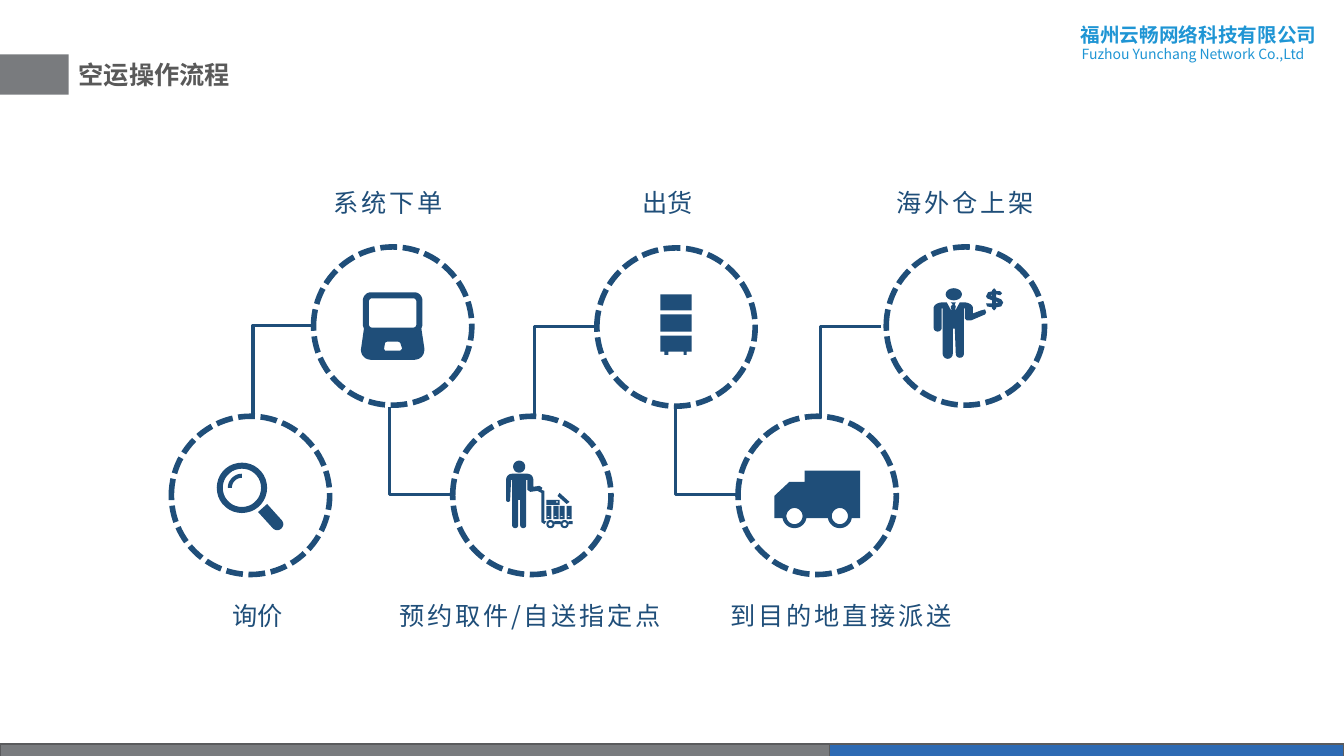
import math
from dataclasses import dataclass

import pptx
import pptx.dml.color
import pptx.enum.dml
import pptx.enum.shapes
import pptx.enum.text
import pptx.oxml.ns
import pptx.util
from pptx.util import Inches

ALIGN = pptx.enum.text.PP_ALIGN
PRESET = pptx.enum.shapes.MSO_SHAPE
Point = tuple[float, float]
Contour = list[Point]


@dataclass(frozen=True)
class Theme:
    navy: str = "1F4E79"
    gray: str = "797B7E"
    gray_line: str = "5A5B5D"
    blue: str = "2D6AB3"
    sky: str = "1F95D4"
    title: str = "595959"
    cjk: str = "Noto Sans CJK SC"
    latin: str = "Arial"
    size: int = 18
    name_size: int = 14
    small: int = 10
    ring_line: float = 4
    link_line: float = 2.25


@dataclass(frozen=True)
class Step:
    label: str
    ring: Point
    label_box: tuple[float, float, float, float]
    spacing: int
    align: ALIGN
    icon: list[Contour]
    line_spacing: float | None = None


THEME = Theme()
RING = 1.57


# Outline helpers, in inches
def arc(x: float, y: float, rx: float, start: float = 0, end: float = 360,
        ry: float | None = None) -> Contour:
    count = max(6, round(abs(end - start) / 10))
    angles = [math.radians(start + (end - start) * i / count) for i in range(count + 1)]
    return [(x + rx * math.cos(a), y + (ry or rx) * math.sin(a)) for a in angles]


def block(x: float, y: float, width: float, height: float, radius: float = 0) -> Contour:
    right, bottom = x + width, y + height
    if not radius:
        return [(x, y), (right, y), (right, bottom), (x, bottom)]
    corners = [(x + radius, y + radius, 180), (right - radius, y + radius, 270),
               (right - radius, bottom - radius, 0), (x + radius, bottom - radius, 90)]
    return [point for cx, cy, a in corners for point in arc(cx, cy, radius, a, a + 90)]


# Icons
MAGNIFIER = [
    arc(2.4, 4.84, 0.25), arc(2.4, 4.84, 0.19),
    arc(2.4, 4.84, 0.14, 180, 270) + arc(2.4, 4.84, 0.1, 270, 180),
    arc(2.75, 5.2, 0.06, -45, 135) + [(2.56, 5.08), (2.65, 5)],
]
LAPTOP = [
    arc(3.68, 2.98, 0.08, 180, 270) + arc(4.11, 2.98, 0.08, 270, 360)
    + [(4.19, 3.23), (4.18, 3.26), (4.21, 3.46)] + arc(4.11, 3.47, 0.1, 0, 90)
    + arc(3.68, 3.47, 0.1, 90, 180) + [(3.61, 3.26), (3.6, 3.23)],
    block(3.66, 2.96, 0.47, 0.29, 0.03),
    [(3.84, 3.39), (3.95, 3.39), (3.97, 3.4), (3.99, 3.46), (3.97, 3.48),
     (3.82, 3.48), (3.81, 3.46), (3.82, 3.4)],
]
CART_WORKER = [
    arc(5.15, 4.63, 0.06),
    # Worker, pushing arm and cart handle
    arc(5.08, 4.76, 0.06, 180, 270) + arc(5.23, 4.76, 0.06, 270, 360)
    + [(5.29, 4.83), (5.35, 4.82), (5.38, 4.84), (5.37, 4.86), (5.4, 4.87), (5.4, 5.17),
       (5.42, 5.17), (5.4, 5.2), (5.37, 5.18), (5.37, 4.89), (5.33, 4.87), (5.26, 4.88),
       (5.23, 4.86), (5.23, 4.76), (5.22, 4.76)]
    + arc(5.19, 5.21, 0.03, 0, 180) + [(5.16, 4.96), (5.14, 4.96)]
    + arc(5.11, 5.21, 0.03, 0, 180) + [(5.08, 4.76), (5.07, 4.76)]
    + arc(5.04, 4.96, 0.02, 0, 180),
    # Cargo
    block(5.42, 4.96, 0.13, 0.05), block(5.52, 4.97, 0.01, 0.02),
    [(5.55, 4.89), (5.65, 4.98), (5.62, 5), (5.53, 4.92)],
    *[shape for x in (5.42, 5.49, 5.55, 5.62) for shape in (
        block(x, 5.02, 0.05, 0.13), block(x + 0.01, 5.12, 0.02, 0.01))],
    # Wheels and axle
    *[arc(x, 5.2, r) for x in (5.46, 5.6) for r in (0.04, 0.02)],
    block(5.5, 5.17, 0.06, 0.03), block(5.64, 5.17, 0.04, 0.03),
]
CABINET = [
    block(6.55, 2.92, 0.31, 0.16), block(6.55, 3.12, 0.31, 0.17),
    [(6.55, 3.33), (6.86, 3.33), (6.86, 3.49), (6.81, 3.49), (6.81, 3.52), (6.78, 3.52),
     (6.78, 3.49), (6.63, 3.49), (6.63, 3.52), (6.59, 3.52), (6.59, 3.49), (6.55, 3.49)],
]
TRUCK = [
    [(8.53, 4.67), (7.98, 4.67), (7.98, 4.78), (7.83, 4.78), (7.68, 4.92), (7.68, 5.14)]
    + arc(7.88, 5.12, 0.12, 170, 10) + arc(8.33, 5.12, 0.12, 170, 10) + [(8.53, 5.14)],
    arc(7.88, 5.12, 0.08), arc(8.33, 5.12, 0.08),
]
SELLER = [
    arc(9.46, 2.92, 0.08, ry=0.06),
    # Suit with tie and open hand
    arc(9.35, 3.06, 0.09, 180, 270, 0.06)
    + [(9.39, 3), (9.44, 3.09), (9.43, 3.04), (9.45, 3.02), (9.43, 3), (9.48, 3),
       (9.47, 3.02), (9.48, 3.04), (9.47, 3.09), (9.52, 3)]
    + arc(9.56, 3.06, 0.09, 270, 360, 0.06)
    + [(9.65, 3.11), (9.73, 3.08), (9.77, 3.07), (9.78, 3.1), (9.77, 3.12), (9.63, 3.18),
       (9.59, 3.18), (9.57, 3.16), (9.57, 3.06), (9.56, 3.06)]
    + arc(9.52, 3.51, 0.04, 0, 180) + [(9.47, 3.26), (9.45, 3.26)]
    + arc(9.4, 3.51, 0.05, 0, 180) + [(9.35, 3.06), (9.34, 3.06)]
    + arc(9.3, 3.25, 0.04, 0, 180),
    # Dollar sign
    [(9.84, 2.88), (9.86, 2.86), (9.88, 2.88), (9.88, 2.89), (9.92, 2.89), (9.94, 2.91),
     (9.92, 2.93), (9.88, 2.92), (9.88, 2.95), (9.93, 2.97), (9.95, 3), (9.93, 3.04),
     (9.88, 3.05), (9.88, 3.06), (9.86, 3.08), (9.84, 3.06), (9.84, 3.05), (9.79, 3.04),
     (9.78, 3.01), (9.84, 3.01), (9.84, 2.98), (9.79, 2.96), (9.78, 2.94), (9.8, 2.9),
     (9.84, 2.89)],
    [(9.88, 2.99), (9.9, 3), (9.88, 3.01)], [(9.84, 2.92), (9.83, 2.93), (9.84, 2.94)],
]

STEPS = [
    Step("询价", (1.7, 4.13), (2.21, 5.91, 0.85, 0.4), 0, ALIGN.LEFT, MAGNIFIER),
    Step("系统下单", (3.11, 2.45), (2.82, 1.81, 2.06, 0.4), 2, ALIGN.CENTER, LAPTOP),
    Step("预约取件/自送指定点", (4.49, 4.13), (3.86, 5.91, 2.97, 0.4), 2, ALIGN.LEFT,
         CART_WORKER),
    Step("出货", (5.92, 2.46), (6.27, 1.81, 1.22, 0.4), 0, ALIGN.LEFT, CABINET),
    Step("到目的地直接派送", (7.32, 4.13), (7.06, 5.91, 2.57, 0.4), 2, ALIGN.CENTER, TRUCK),
    Step("海外仓上架", (8.79, 2.45), (8.79, 1.78, 1.84, 0.43), 2, ALIGN.LEFT, SELLER, 1.1),
]
LINKS = [((3.11, 3.23), (2.51, 4.13)), ((4.46, 4.91), (3.86, 4.04)),
         ((5.89, 3.24), (5.3, 4.15)), ((7.3, 4.91), (6.7, 4.04)),
         ((8.74, 3.24), (8.14, 4.15))]


# Drawing functions
def rgb(code: str) -> pptx.dml.color.RGBColor:
    return pptx.dml.color.RGBColor.from_string(code)


def paint(shape, fill: str | None, line: str | None = None, width: float = 1) -> None:
    shape.shadow.inherit = False
    if fill:
        shape.fill.solid()
        shape.fill.fore_color.rgb = rgb(fill)
    else:
        shape.fill.background()
    if line:
        shape.line.color.rgb = rgb(line)
        shape.line.width = pptx.util.Pt(width)
    else:
        shape.line.fill.background()


def write(box, text: str, size: int, color: str, align: ALIGN, font: str = THEME.cjk,
          bold: bool = False, spacing: int = 0) -> None:
    frame = box.text_frame
    frame.text = text
    frame.word_wrap = True
    frame.vertical_anchor = pptx.enum.text.MSO_ANCHOR.TOP
    para = frame.paragraphs[0]
    para.alignment = align
    span = para.runs[0]
    span.font.name, span.font.size, span.font.bold = font, pptx.util.Pt(size), bold
    span.font.color.rgb = rgb(color)
    properties = span.font._element
    if spacing:
        properties.set("spc", str(spacing * 100))
    east_asian = pptx.oxml.ns.qn("a:ea")
    properties.find(pptx.oxml.ns.qn("a:latin")).addnext(
        properties.makeelement(east_asian, {"typeface": THEME.cjk}))


def add_bar(page, at: tuple, fill: str, line: str | None = None) -> None:
    paint(page.shapes.add_shape(PRESET.RECTANGLE, *map(Inches, at)), fill, line)


def add_icon(page, contours: list[Contour]) -> None:
    scaled = [[(x * 1000, y * 1000) for x, y in contour] for contour in contours]
    builder = page.shapes.build_freeform(*scaled[0][0], scale=Inches(1) / 1000)
    for contour in scaled:
        if contour is not scaled[0]:
            builder.move_to(*contour[0])
        builder.add_line_segments(contour[1:], close=True)
    paint(builder.convert_to_shape(), THEME.navy)


def add_link(page, begin: Point, end: Point) -> None:
    link = page.shapes.add_connector(pptx.enum.shapes.MSO_CONNECTOR.ELBOW,
                                     *map(Inches, begin + end))
    link.line.color.rgb = rgb(THEME.navy)
    link.line.width = pptx.util.Pt(THEME.link_line)
    properties = link._element.spPr
    properties.find(pptx.oxml.ns.qn("a:prstGeom")).set("prst", "bentConnector2")
    properties.append(properties.makeelement(pptx.oxml.ns.qn("a:effectLst"), {}))


def add_step(page, step: Step) -> None:
    ring = page.shapes.add_shape(PRESET.OVAL, *map(Inches, step.ring + (RING, RING)))
    paint(ring, None, THEME.navy, THEME.ring_line)
    ring.line.dash_style = pptx.enum.dml.MSO_LINE.SQUARE_DOT
    box = page.shapes.add_textbox(*map(Inches, step.label_box))
    write(box, step.label, THEME.size, THEME.navy, step.align, spacing=step.spacing)
    box.text_frame.paragraphs[0].line_spacing = step.line_spacing
    add_icon(page, step.icon)


def main() -> None:
    deck = pptx.Presentation()
    deck.slide_width, deck.slide_height = Inches(13.33), Inches(7.5)
    page = deck.slides.add_slide(deck.slide_layouts[5])
    # Footer and company name
    add_bar(page, (0, 7.38, 8.23, 0.14), THEME.gray, THEME.gray_line)
    add_bar(page, (8.23, 7.38, 5.1, 0.14), THEME.blue, THEME.gray_line)
    for at, text, size, bold in [
            ((10.62, 0.18, 2.67, 0.34), "福州云畅网络科技有限公司", THEME.name_size, True),
            ((10.63, 0.4, 2.66, 0.27), "Fuzhou Yunchang Network Co.,Ltd", THEME.small, False)]:
        box = page.shapes.add_textbox(*map(Inches, at))
        write(box, text, size, THEME.sky, ALIGN.JUSTIFY, bold=bold)
    # Title
    add_bar(page, (0, 0.54, 0.68, 0.4), THEME.gray)
    title = page.shapes.title
    title.left, title.top, title.width, title.height = map(Inches, (0.68, 0.54, 1.7, 0.4))
    write(title, "空运操作流程", THEME.size, THEME.title, ALIGN.CENTER, THEME.latin, True)
    title.text_frame.margin_left = title.text_frame.margin_right = 0
    # Process
    for begin, end in LINKS:
        add_link(page, begin, end)
    for step in STEPS:
        add_step(page, step)
    deck.save("out.pptx")


if __name__ == "__main__":
    main()
